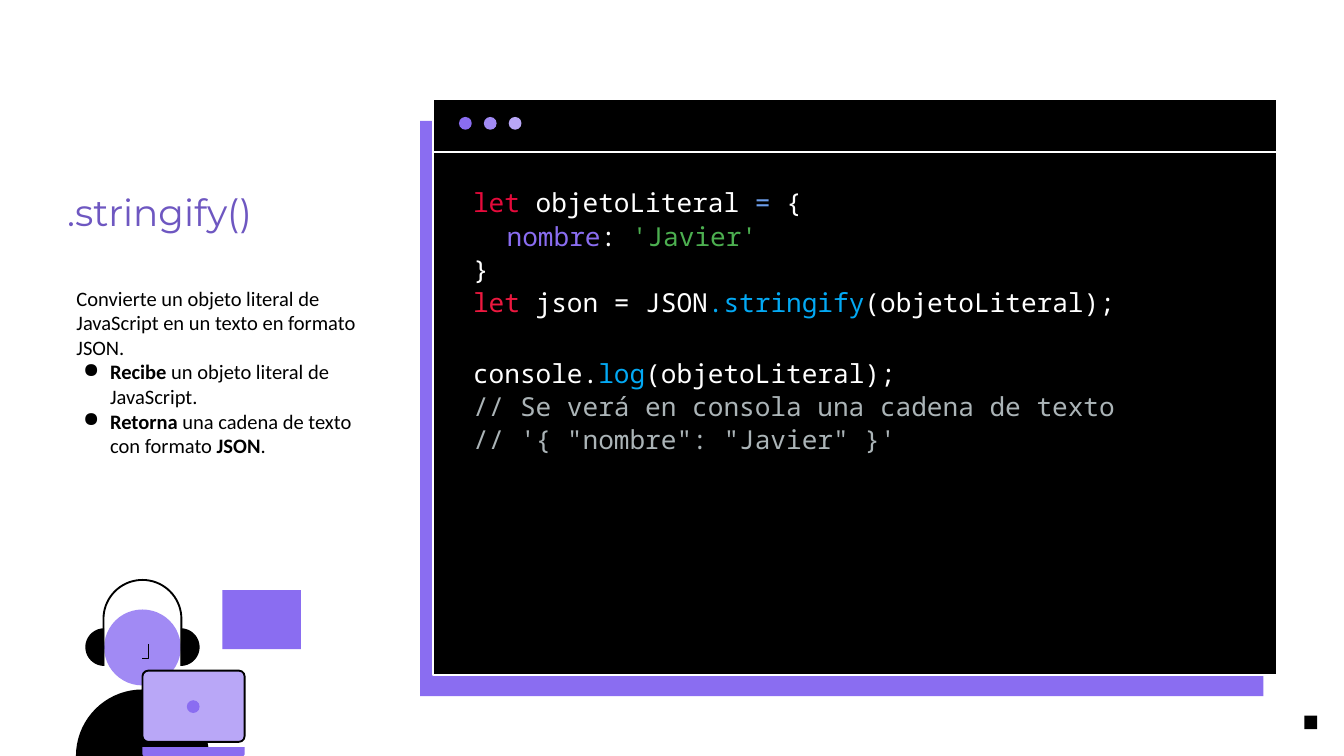
from math import cos, radians, sin

from lxml.etree import SubElement
from pptx import Presentation
from pptx.dml.color import RGBColor
from pptx.enum.shapes import MSO_CONNECTOR as Connector, MSO_SHAPE as Shape
from pptx.enum.text import MSO_ANCHOR as Anchor, MSO_AUTO_SIZE as AutoSize, PP_ALIGN as Align
from pptx.oxml.ns import qn
from pptx.util import Pt

PX = 9144
COLORS = {
    "black": "000000", "white": "FFFFFF", "violet": "8A6DF1", "lilac": "A18AF4",
    "lavender": "B9A7F7", "title": "6E57C1", "red": "E50A3B", "crimson": "EC183F",
    "operator": "6D9EEB", "string": "4CAF50", "method": "03A9F4", "comment": "ABB4B7",
}
CODE = [
    (0, [("let ", "red"), ("objetoLiteral ", "white"), ("= ", "operator"), ("{", "white")]),
    (6, [("\t", "white"), ("nombre", "violet"), (": ", "white"), ("'Javier'", "string")]),
    (6, [("}", "white")]),
    (6, [("let ", "crimson"), ("json = JSON", "white"), (".stringify", "method"),
         ("(objetoLiteral);", "white")]),
    (46, [("console.", "white"), ("log", "method"), ("(objetoLiteral);", "white")]),
    (6, [("// Se verá en consola una cadena de texto", "comment")]),
    (6, [("// '{ \"nombre\": \"Javier\" }'", "comment")]),
]
INTRO = "Convierte un objeto literal de JavaScript en un texto en formato JSON."
POINTS = [
    [("Recibe ", True), ("un objeto literal de JavaScript.", False)],
    [("Retorna ", True), ("una cadena de texto con formato ", False), ("JSON", True), (".", False)],
]


def rgb(name):
    """Return the named colour."""
    return RGBColor.from_string(COLORS[name])


def paint(shape, fill=None, line=None, weight=2):
    """Set the fill and outline of a shape and drop its shadow."""
    shape.shadow.inherit = False
    if fill:
        shape.fill.solid()
        shape.fill.fore_color.rgb = rgb(fill)
    else:
        shape.fill.background()
    if line:
        shape.line.color.rgb = rgb(line)
        shape.line.width = Pt(weight)
    else:
        shape.line.fill.background()
    return shape


def add_block(slide, kind, box, fill, line=None, weight=2):
    """Add a painted preset shape in a px box."""
    return paint(slide.shapes.add_shape(kind, *(v * PX for v in box)), fill, line, weight)


def add_outline(slide, points, fill=None, line=None, closed=True):
    """Add a painted freeform through px points."""
    start, *rest = [(round(x * PX), round(y * PX)) for x, y in points]
    builder = slide.shapes.build_freeform(*start, scale=1.0)
    builder.add_line_segments(rest, close=closed)
    return paint(builder.convert_to_shape(), fill, line)


def arc(x, y, radius, first):
    """Return the points of a clockwise half circle from the given angle."""
    angles = [radians(first + step) for step in range(0, 181, 5)]
    return [(x + radius * cos(a), y + radius * sin(a)) for a in angles]


def set_frame(frame, insets, anchor=Anchor.TOP):
    """Set wrapping, px insets and anchor of a text frame."""
    frame.word_wrap = True
    frame.auto_size = AutoSize.NONE
    frame.vertical_anchor = anchor
    (frame.margin_left, frame.margin_top,
     frame.margin_right, frame.margin_bottom) = (v * PX for v in insets)


def add_run(paragraph, text, font, size, color, bold=False):
    """Append one formatted run."""
    run = paragraph.add_run()
    run.text = text
    run.font.name = font
    run.font.size = Pt(size)
    run.font.bold = bold
    run.font.color.rgb = rgb(color)


def add_paragraph(frame, first):
    """Return the first paragraph of a frame or a new one, aligned left."""
    paragraph = frame.paragraphs[0] if first else frame.add_paragraph()
    paragraph.alignment = Align.LEFT
    return paragraph


def add_bullet(paragraph):
    """Give a paragraph a round black bullet with a hanging indent."""
    properties = paragraph._p.get_or_add_pPr()
    properties.set("marL", str(50 * PX))
    properties.set("indent", str(-40 * PX))
    color = SubElement(properties, qn("a:buClr"))
    SubElement(color, qn("a:srgbClr"), val=COLORS["black"])
    SubElement(properties, qn("a:buChar"), char="●")


def add_code_window(slide, left, top, width, height):
    """Draw the editor window with its backdrop, title bar and code."""
    add_block(slide, Shape.RECTANGLE, (left - 20, top + 32, width, height), "violet")
    add_block(slide, Shape.RECTANGLE, (left, top, width, height), "black", "white", 2.25)
    bar_y = (top + 78) * PX
    divider = slide.shapes.add_connector(
        Connector.STRAIGHT, left * PX, bar_y, (left + width) * PX, bar_y)
    divider.line.color.rgb = rgb("white")
    divider.line.width = Pt(1.5)
    SubElement(divider._element.spPr, qn("a:effectLst"))
    for index, color in enumerate(("violet", "lilac", "lavender")):
        add_block(slide, Shape.OVAL, (left + 38 + 37 * index, top + 26, 19, 19), color)

    editor = add_block(slide, Shape.RECTANGLE,
                       (left + 45, top + 134, width - 85, height - 172), "black")
    set_frame(editor.text_frame, (14, 2, 2, 14))
    for index, (gap, parts) in enumerate(CODE):
        line = add_paragraph(editor.text_frame, index == 0)
        line.line_spacing = 0.88
        line.space_before = Pt(gap)
        for text, color in parts:
            add_run(line, text, "Noto Sans Mono", 28, color)


def add_explanation(slide, left, top, width):
    """Place the title and the description below it."""
    title = slide.shapes.title
    title.left, title.top, title.width, title.height = (
        v * PX for v in (left, top, width, 84))
    set_frame(title.text_frame, (0, 10, 10, 10))
    add_run(add_paragraph(title.text_frame, True), ".stringify()", "Montserrat", 40, "title")

    description = slide.shapes.add_textbox(
        *(v * PX for v in (left + 4, top + 143, width, 340))).text_frame
    set_frame(description, (10, 10, 10, 10))
    add_run(add_paragraph(description, True), INTRO, "Calibri", 22, "black")
    for parts in POINTS:
        point = add_paragraph(description, False)
        add_bullet(point)
        for text, bold in parts:
            add_run(point, text, "Calibri", 22, "black", bold)


def add_listener(slide, left, top):
    """Draw the person with headphones behind a laptop."""
    center, ear_y = left + 99, top + 101
    add_block(slide, Shape.RECTANGLE, (left + 218, top + 16, 117, 88), "violet")
    add_outline(slide, arc(center, top + 263, 99, 180), "black")
    add_block(slide, Shape.OVAL, (center - 57, top + 45, 114, 113), "lilac")
    add_outline(slide, [(center + 9, top + 96), (center + 9, top + 118), (center, top + 118)],
                line="black", closed=False)
    add_outline(slide, arc(center - 57, ear_y, 28, 90), "black")
    add_outline(slide, arc(center + 57, ear_y, 28, 270), "black")
    band = arc(center, top + 59, 58, 180)
    add_outline(slide, [(center - 58, top + 129), *band, (center + 58, top + 129)],
                line="black", closed=False)
    screen = add_block(slide, Shape.ROUNDED_RECTANGLE,
                       (center, top + 136, 152, 106), "lavender", "black")
    screen.adjustments[0] = 0.08
    base = add_block(slide, Shape.ROUND_2_SAME_RECTANGLE,
                     (center, top + 250, 152, 13), "violet")
    base.adjustments[0], base.adjustments[1] = 0, 0.2
    add_block(slide, Shape.OVAL, (center + 66, top + 180, 19, 19), "violet")


def main():
    """Build the slide and save it."""
    deck = Presentation()
    deck.slide_width, deck.slide_height = 2000 * PX, 1125 * PX
    slide = deck.slides.add_slide(deck.slide_layouts[5])
    add_code_window(slide, 645, 148, 1255, 856)
    add_explanation(slide, 100, 272, 464)
    add_listener(slide, 113, 862)
    add_block(slide, Shape.RECTANGLE, (1941, 1065, 19, 20), "black")
    deck.save("out.pptx")


if __name__ == "__main__":
    main()
